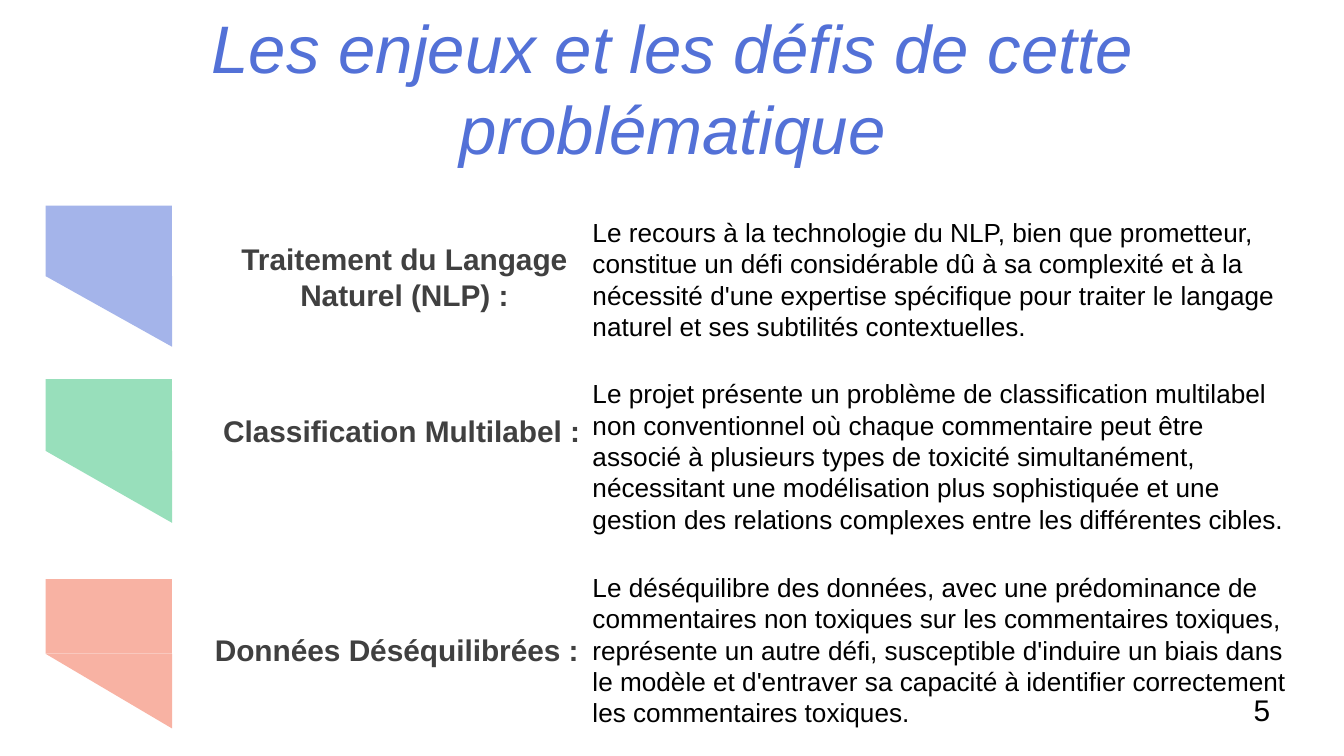
from pptx import Presentation
from pptx.dml.color import RGBColor
from pptx.enum.shapes import MSO_SHAPE
from pptx.enum.text import MSO_ANCHOR, PP_ALIGN
from pptx.util import Emu, Pt

RECTANGLE = MSO_SHAPE.RECTANGLE
TRIANGLE = MSO_SHAPE.ISOSCELES_TRIANGLE
TOP = MSO_ANCHOR.TOP
LEFT, CENTER = PP_ALIGN.LEFT, PP_ALIGN.CENTER

COLORS = {
    "title": "5371D7",
    "label": "404040",
    "body": "000000",
    "blue": "A4B4EA",
    "green": "98DFBB",
    "coral": "F8B2A3",
}

TITLE = "Les enjeux et les défis de cette problématique"
PAGE_NUMBER = "5"
CHALLENGES = [
    {
        "color": "blue", "flag": (153, 105),
        "label": "Traitement du Langage Naturel (NLP) :",
        "label_box": (137, 169, 328, 74), "align": CENTER,
        "body": "Le recours à la technologie du NLP, bien que prometteur, "
                "constitue un défi considérable dû à sa complexité et à la "
                "nécessité d'une expertise spécifique pour traiter le langage "
                "naturel et ses subtilités contextuelles.",
        "body_box": (431, 151, 558, 114),
    },
    {
        "color": "green", "flag": (282, 107),
        "label": " Classification Multilabel :",
        "label_box": (150, 297, 328, 47), "align": LEFT,
        "body": "Le projet présente un problème de classification multilabel "
                "non conventionnel où chaque commentaire peut être associé à "
                "plusieurs types de toxicité simultanément, nécessitant une "
                "modélisation plus sophistiquée et une gestion des relations "
                "complexes entre les différentes cibles.",
        "body_box": (431, 271, 541, 138),
    },
    {
        "color": "coral", "flag": (431, 111),
        "label": "Données Déséquilibrées :",
        "label_box": (150, 460, 328, 47), "align": LEFT,
        "body": "Le déséquilibre des données, avec une prédominance de "
                "commentaires non toxiques sur les commentaires toxiques, "
                "représente un autre défi, susceptible d'induire un biais dans "
                "le modèle et d'entraver sa capacité à identifier correctement "
                "les commentaires toxiques.",
        "body_box": (431, 415, 541, 138),
    },
]
PAGE_WIDTH = 1000
PAGE_HEIGHT = PAGE_WIDTH * 9 / 16
FLAG_LEFT, FLAG_WIDTH = 34, 94
EMU_PER_PX = 9144


def px(value):
    return Emu(round(value * EMU_PER_PX))


def add_text(page, text, bounds, size, color, align=LEFT, inset=10,
             bold=False, italic=False):
    box = page.shapes.add_textbox(*map(px, bounds))
    frame = box.text_frame
    frame.word_wrap = True
    frame.vertical_anchor = TOP
    frame.margin_left = frame.margin_right = px(10)
    frame.margin_top = frame.margin_bottom = px(inset)
    frame.text = text
    para = frame.paragraphs[0]
    para.alignment = align
    font = para.runs[0].font
    font.name = "Arial"
    font.size = Pt(size)
    font.bold = bold
    font.italic = italic
    font.color.rgb = RGBColor.from_string(COLORS[color])


def add_flag(page, top, height, color):
    group = page.shapes.add_group_shape()
    half = height / 2
    for kind, part_top in ((RECTANGLE, top), (TRIANGLE, top + half)):
        part = group.shapes.add_shape(
            kind, px(FLAG_LEFT), px(part_top), px(FLAG_WIDTH), px(half))
        part.shadow.inherit = False
        part.fill.solid()
        part.fill.fore_color.rgb = RGBColor.from_string(COLORS[color])
        part.line.fill.background()
        if kind == TRIANGLE:
            part.adjustments[0] = 0
            part.rotation = 180


def main():
    deck = Presentation()
    deck.slide_width, deck.slide_height = px(PAGE_WIDTH), px(PAGE_HEIGHT)
    page = deck.slides.add_slide(deck.slide_layouts[6])

    add_text(page, TITLE, (18, 0, 965, 71), 36, "title", CENTER, 5, italic=True)
    for challenge in CHALLENGES:
        add_flag(page, *challenge["flag"], challenge["color"])
        add_text(page, challenge["label"], challenge["label_box"], 16, "label",
                 challenge["align"], bold=True)
        add_text(page, challenge["body"], challenge["body_box"], 14, "body")
    add_text(page, PAGE_NUMBER, (923, 510, 69, 37), 16, "body", inset=5)

    deck.save("out.pptx")


if __name__ == "__main__":
    main()
